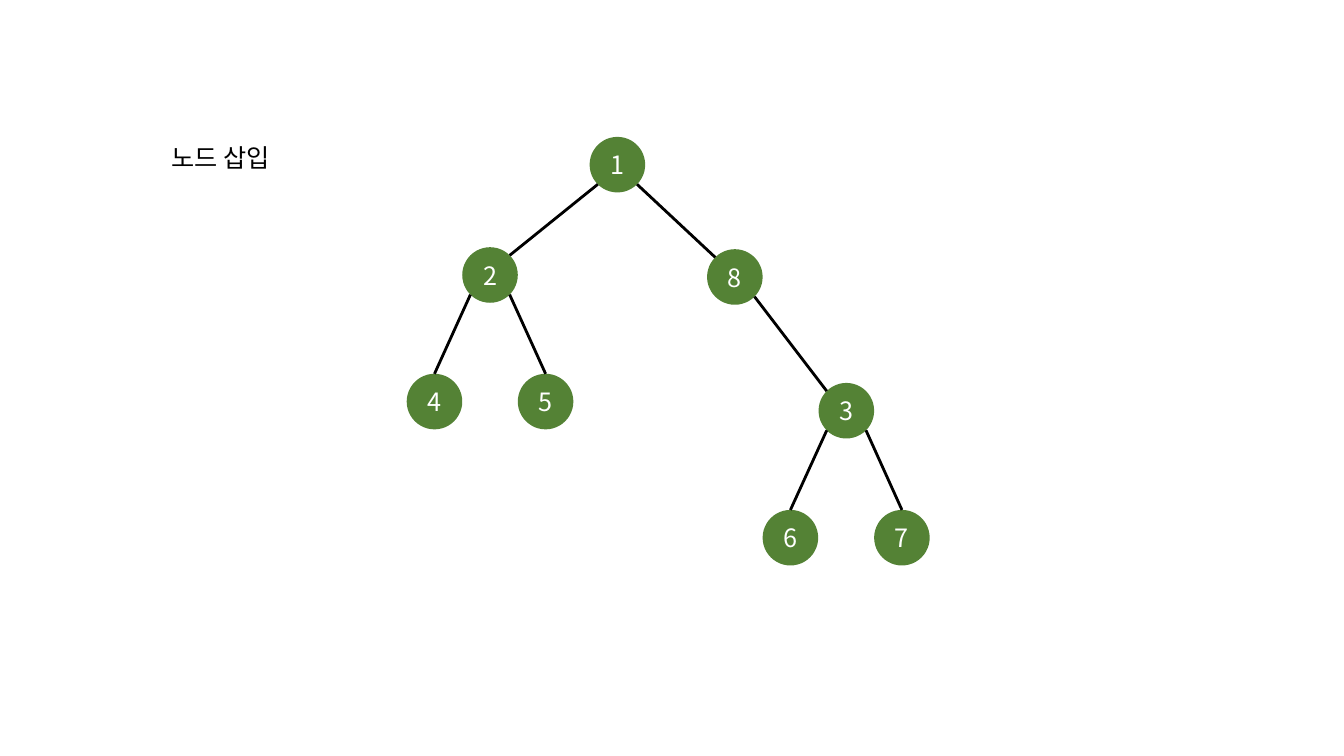
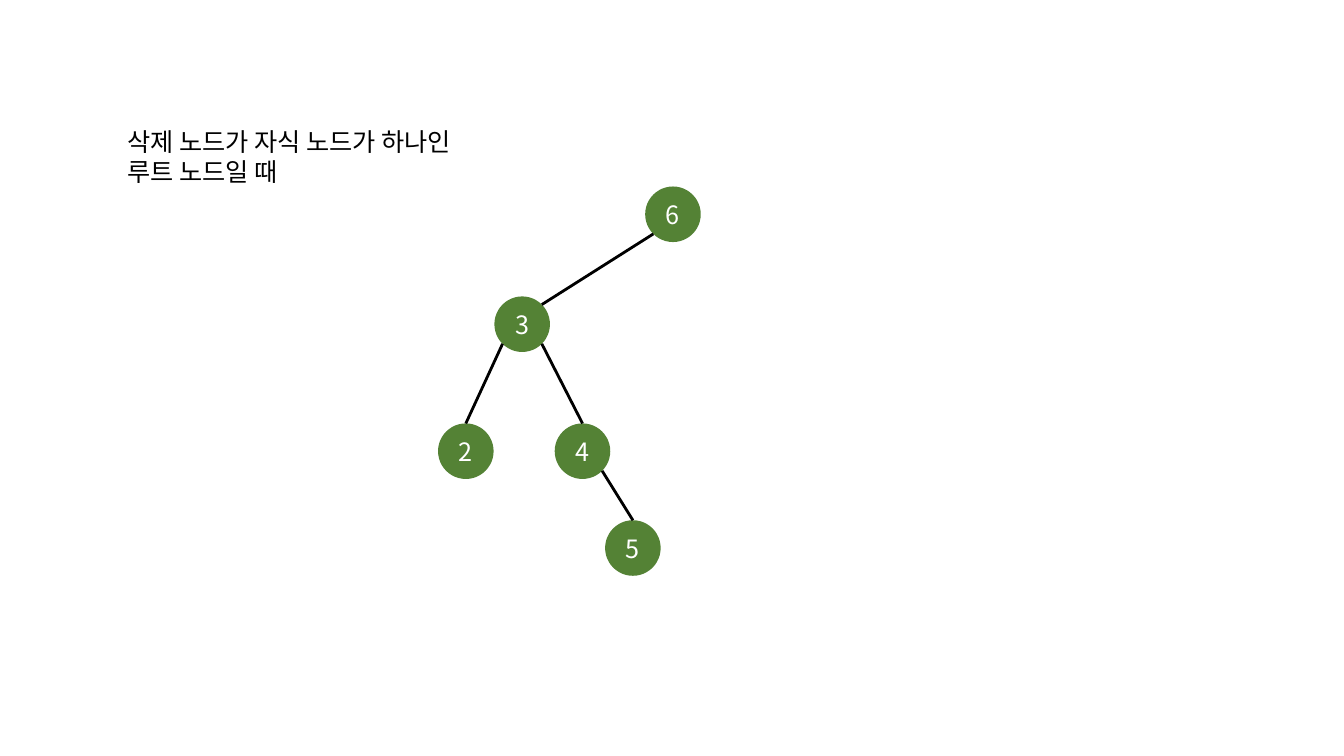
from math import sqrt

from lxml import etree
from pptx import Presentation
from pptx.dml.color import RGBColor
from pptx.enum.shapes import MSO_CONNECTOR, MSO_SHAPE
from pptx.enum.text import MSO_ANCHOR, MSO_AUTO_SIZE, PP_ALIGN
from pptx.oxml.ns import qn
from pptx.util import Cm, Pt

OVAL = MSO_SHAPE.OVAL
STRAIGHT = MSO_CONNECTOR.STRAIGHT
TOP, MIDDLE = MSO_ANCHOR.TOP, MSO_ANCHOR.MIDDLE
LEFT, CENTER = PP_ALIGN.LEFT, PP_ALIGN.CENTER
FIT_SHAPE = MSO_AUTO_SIZE.SHAPE_TO_FIT_TEXT

COLORS = {"node": "548235", "node_text": "FFFFFF", "edge": "000000", "title": "000000"}
FONT = "Noto Sans CJK KR"
TEXT_SIZE = Pt(18)
LINE_SPACING = Pt(21.6)
EDGE_WIDTH = Pt(2)
TITLE_ONLY = 5

# Lengths in centimetres
RADIUS = 0.7
DIAGONAL = RADIUS / sqrt(2)
WIDE_EDGE = 2  # wider edges meet the child at its upper corner, others at its top

# Each tree: title lines and box, node label -> left and top, parent-child edges
TREES = [
    {
        "title": ["노드 삽입"],
        "box": (4.06, 3.45, 3.3, 1.02),
        "nodes": {
            "1": (14.86, 3.45), "2": (11.65, 6.23), "8": (17.82, 6.28),
            "4": (10.25, 9.42), "5": (13.05, 9.42), "3": (20.63, 9.65),
            "6": (19.22, 12.85), "7": (22.03, 12.85),
        },
        "edges": ["12", "18", "24", "25", "83", "36", "37"],
    },
    {
        "title": ["삭제 노드가 자식 노드가 하나인", "루트 노드일 때"],
        "box": (2.95, 3.05, 9.75, 1.8),
        "nodes": {
            "6": (16.26, 4.7), "3": (12.46, 7.47), "2": (11.04, 10.67),
            "4": (13.98, 10.67), "5": (15.25, 13.11),
        },
        "edges": ["63", "32", "34", "45"],
    },
]


class TreeDeck:
    def __init__(self):
        self.deck = Presentation()
        self.deck.slide_width = Cm(33.87)
        self.deck.slide_height = Cm(19.05)
        self.page = None

    def add_page(self):
        self.page = self.deck.slides.add_slide(self.deck.slide_layouts[TITLE_ONLY])

    def style(self, para, color, align):
        para.alignment = align
        para.font.name = FONT
        para.font.size = TEXT_SIZE
        para.font.color.rgb = RGBColor.from_string(COLORS[color])
        # Korean letters take the East Asian font
        defaults = para._p.pPr.find(qn("a:defRPr"))
        etree.SubElement(defaults, qn("a:ea"), typeface=FONT)

    def title(self, lines, box):
        title = self.page.shapes.title
        title.left, title.top, title.width, title.height = map(Cm, box)
        frame = title.text_frame
        frame.text = "\n".join(lines)
        frame.word_wrap = False
        frame.auto_size = FIT_SHAPE
        frame.vertical_anchor = TOP
        for para in frame.paragraphs:
            para.line_spacing = LINE_SPACING
            self.style(para, "title", LEFT)

    def node(self, label, left, top):
        circle = self.page.shapes.add_shape(
            OVAL, Cm(left), Cm(top), Cm(2 * RADIUS), Cm(2 * RADIUS))
        circle.shadow.inherit = False
        circle.fill.solid()
        circle.fill.fore_color.rgb = RGBColor.from_string(COLORS["node"])
        circle.line.fill.background()
        frame = circle.text_frame
        frame.margin_left = frame.margin_right = 0
        frame.margin_top = frame.margin_bottom = 0
        frame.vertical_anchor = MIDDLE
        frame.text = label
        self.style(frame.paragraphs[0], "node_text", CENTER)

    def edge(self, parent, child):
        start_x, start_y, end_x, end_y = (value + RADIUS for value in parent + child)
        side = DIAGONAL if end_x > start_x else -DIAGONAL
        if abs(end_x - start_x) > WIDE_EDGE:
            end_x, end_y = end_x - side, end_y - DIAGONAL
        else:
            end_y -= RADIUS
        line = self.page.shapes.add_connector(
            STRAIGHT, Cm(start_x + side), Cm(start_y + DIAGONAL), Cm(end_x), Cm(end_y))
        line.line.color.rgb = RGBColor.from_string(COLORS["edge"])
        line.line.width = EDGE_WIDTH
        etree.SubElement(line._element.spPr, qn("a:effectLst"))

    def tree(self, nodes, edges):
        for label, corner in nodes.items():
            self.node(label, *corner)
        for parent, child in edges:
            self.edge(nodes[parent], nodes[child])


def main():
    trees = TreeDeck()
    for tree in TREES:
        trees.add_page()
        trees.title(tree["title"], tree["box"])
        trees.tree(tree["nodes"], tree["edges"])
    trees.deck.save("out.pptx")


if __name__ == "__main__":
    main()
